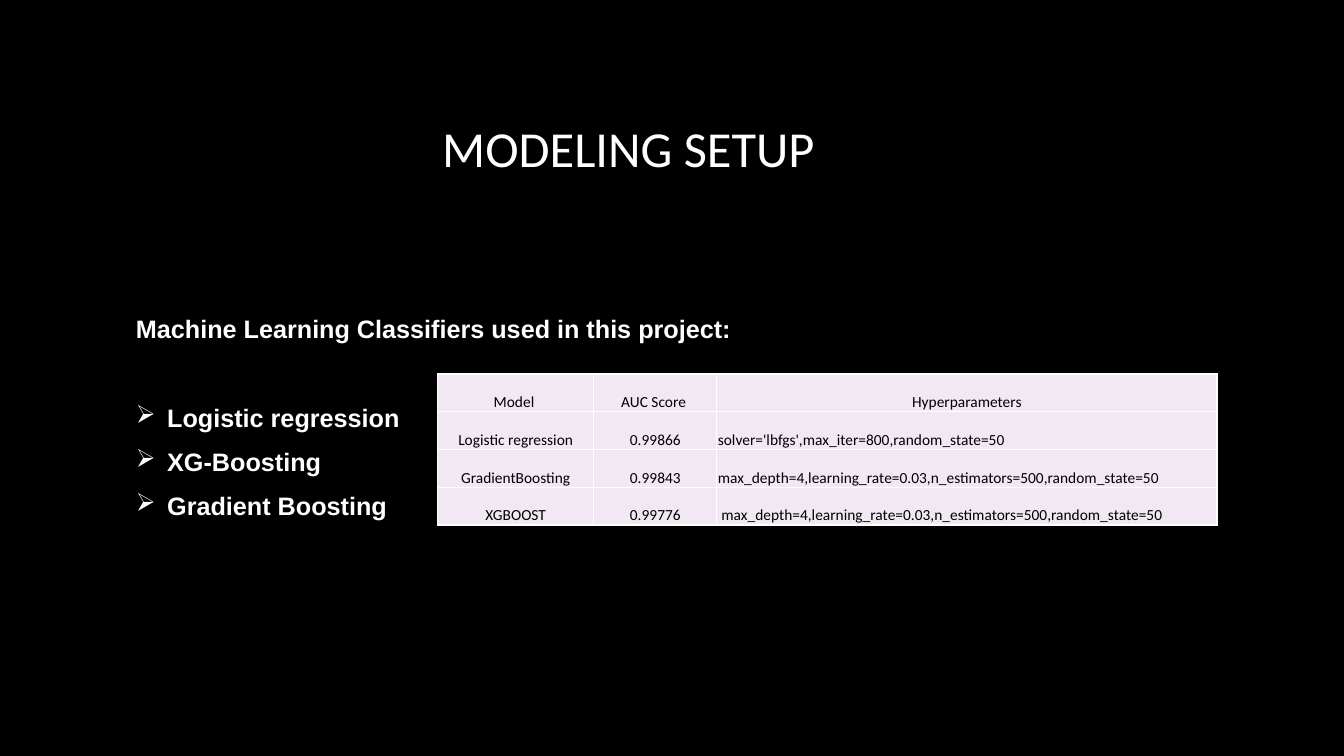
from dataclasses import dataclass

from lxml import etree
from pptx import Presentation
from pptx.dml.color import RGBColor
from pptx.enum.text import MSO_ANCHOR, PP_ALIGN
from pptx.oxml.ns import qn
from pptx.util import Inches, Pt

CENTER, LEFT = PP_ALIGN.CENTER, PP_ALIGN.LEFT
MIDDLE, TOP, BOTTOM = MSO_ANCHOR.MIDDLE, MSO_ANCHOR.TOP, MSO_ANCHOR.BOTTOM

TITLE = "MODELING SETUP "
HEADING = "Machine Learning Classifiers used in this project:"
CLASSIFIERS = ["Logistic regression", "XG-Boosting", "Gradient Boosting"]
RESULTS = [
    ("Model ", "AUC Score ", "Hyperparameters"),
    ("Logistic regression", "0.99866", "solver='lbfgs',max_iter=800,random_state=50"),
    ("GradientBoosting", "0.99843",
     "max_depth=4,learning_rate=0.03,n_estimators=500,random_state=50"),
    ("XGBOOST", "0.99776",
     " max_depth=4,learning_rate=0.03,n_estimators=500,random_state=50"),
]


@dataclass(frozen=True)
class Theme:
    background: str = "000000"
    light: str = "FFFFFF"
    dark: str = "000000"
    cell: str = "F1E8F4"
    title_font: str = "Calibri"
    body_font: str = "Arial"
    title_size: int = 36
    body_size: int = 18
    table_size: int = 11


THEME = Theme()
SLIDE_WIDTH, SLIDE_HEIGHT = 13.33, 7.5
MARGIN, CONTENT_WIDTH = 0.75, 11.08
TITLE_TOP, TITLE_HEIGHT = 0.67, 1.59
BODY_TOP, BODY_HEIGHT, BODY_INSET = 2.34, 3.99, 0.77
TEXT_INDENT, BULLET_INDENT = 0.5, 0.31
HEADING_GAP, ITEM_GAP, LINE_HEIGHT = 42, 10, 21.4
TABLE_LEFT, TABLE_TOP, ROW_HEIGHT = 4.34, 3.71, 0.375
COLUMN_WIDTHS = (1.55, 1.22, 4.96)
CELL_INSET = 0.01


def style_runs(paragraph, font, size, color, bold=False):
    for run in paragraph.runs:
        run.font.name = font
        run.font.size = Pt(size)
        run.font.bold = bold
        run.font.color.rgb = RGBColor.from_string(color)


def add_text_frame(slide, top, height, anchor):
    shape = slide.shapes.add_textbox(
        Inches(MARGIN), Inches(top), Inches(CONTENT_WIDTH), Inches(height))
    shape.text_frame.word_wrap = True
    shape.text_frame.vertical_anchor = anchor
    return shape.text_frame


def add_color(parent, color):
    fill = etree.SubElement(parent, qn("a:solidFill"))
    etree.SubElement(fill, qn("a:srgbClr"), val=color)


def set_indent(paragraph, margin, first_line):
    properties = paragraph._p.get_or_add_pPr()
    properties.set("marL", str(Inches(margin)))
    properties.set("indent", str(Inches(first_line)))
    return properties


def add_bullet(paragraph):
    properties = set_indent(paragraph, TEXT_INDENT + BULLET_INDENT, -BULLET_INDENT)
    add_color(etree.SubElement(properties, qn("a:buClr")), THEME.light)
    etree.SubElement(properties, qn("a:buChar"), char="➢")


def add_title(slide):
    text_frame = add_text_frame(slide, TITLE_TOP, TITLE_HEIGHT, MIDDLE)
    text_frame.text = TITLE
    paragraph = text_frame.paragraphs[0]
    paragraph.alignment = CENTER
    style_runs(paragraph, THEME.title_font, THEME.title_size, THEME.light)


def add_classifiers(slide):
    text_frame = add_text_frame(slide, BODY_TOP, BODY_HEIGHT, TOP)
    text_frame.margin_top = Inches(BODY_INSET)
    text_frame.text = "\n".join([HEADING, *CLASSIFIERS])
    for index, paragraph in enumerate(text_frame.paragraphs):
        paragraph.line_spacing = Pt(LINE_HEIGHT)
        paragraph.space_after = Pt(ITEM_GAP if index else HEADING_GAP)
        style_runs(paragraph, THEME.body_font, THEME.body_size, THEME.light, True)
        if index:
            add_bullet(paragraph)
        else:
            set_indent(paragraph, TEXT_INDENT, 0)


def add_borders(cell):
    properties = cell._tc.get_or_add_tcPr()
    for position, side in enumerate(("lnL", "lnR", "lnT", "lnB")):
        line = etree.Element(qn(f"a:{side}"), w=str(Pt(1)))
        add_color(line, THEME.light)
        properties.insert(position, line)


def style_cell(cell, text, alignment):
    cell.text = text
    cell.vertical_anchor = BOTTOM
    cell.margin_left = cell.margin_right = cell.margin_top = Inches(CELL_INSET)
    cell.margin_bottom = 0
    cell.fill.solid()
    cell.fill.fore_color.rgb = RGBColor.from_string(THEME.cell)
    paragraph = cell.text_frame.paragraphs[0]
    paragraph.alignment = alignment
    style_runs(paragraph, THEME.title_font, THEME.table_size, THEME.dark)
    add_borders(cell)


def add_results(slide):
    table = slide.shapes.add_table(
        len(RESULTS), len(COLUMN_WIDTHS), Inches(TABLE_LEFT), Inches(TABLE_TOP),
        Inches(sum(COLUMN_WIDTHS)), Inches(ROW_HEIGHT * len(RESULTS))).table
    for column, width in zip(table.columns, COLUMN_WIDTHS):
        column.width = Inches(width)
    last_column = len(COLUMN_WIDTHS) - 1
    for row, values in enumerate(RESULTS):
        for column, text in enumerate(values):
            alignment = LEFT if row and column == last_column else CENTER
            style_cell(table.cell(row, column), text, alignment)


def main():
    presentation = Presentation()
    presentation.slide_width = Inches(SLIDE_WIDTH)
    presentation.slide_height = Inches(SLIDE_HEIGHT)
    slide = presentation.slides.add_slide(presentation.slide_layouts[6])
    slide.background.fill.solid()
    slide.background.fill.fore_color.rgb = RGBColor.from_string(THEME.background)
    add_title(slide)
    add_classifiers(slide)
    add_results(slide)
    presentation.save("out.pptx")


if __name__ == "__main__":
    main()
